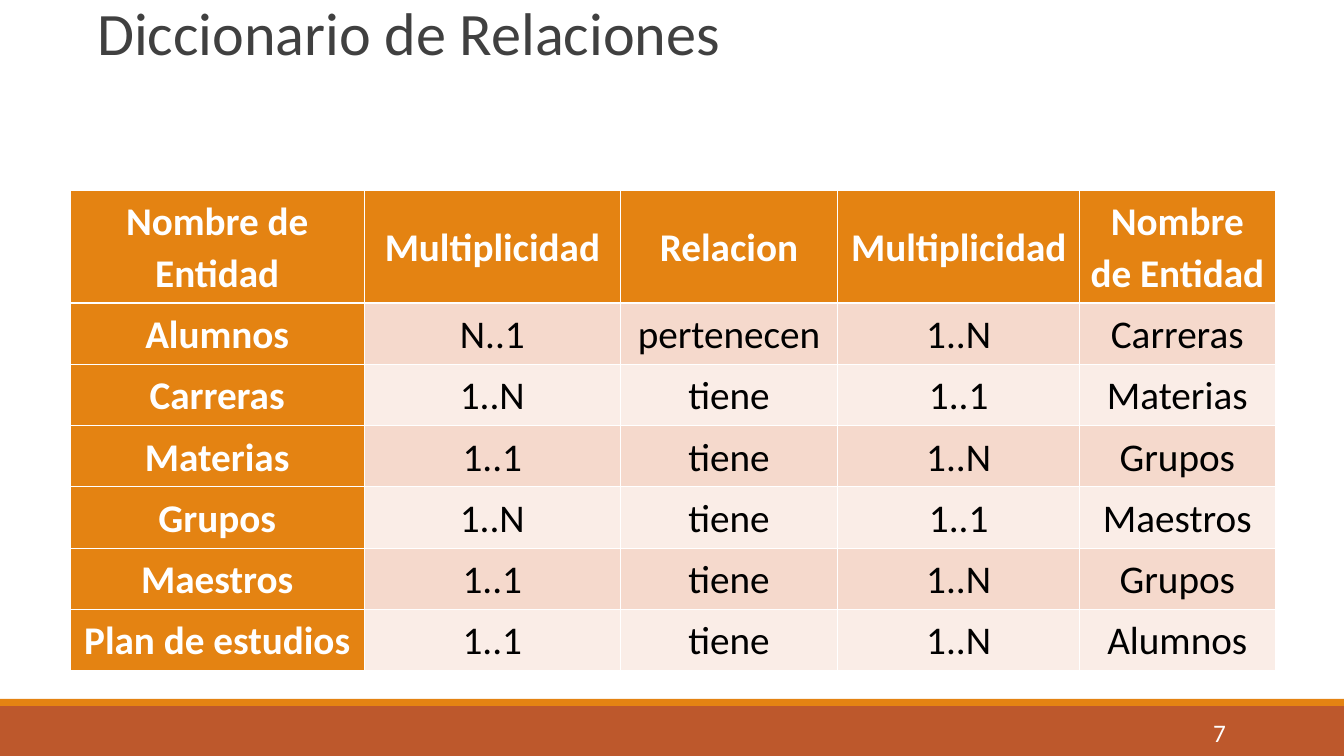
import pptx
import pptx.dml.color
import pptx.enum.shapes
import pptx.enum.text
import pptx.oxml
import pptx.oxml.ns
import pptx.util

PX = 9080
SLIDE_W, SLIDE_H = 1343, 755
ORANGE, RUST, WHITE, BLACK, GRAY = "E48312", "BD582C", "FFFFFF", "000000", "404040"
BANDS = ("F5D9CC", "FAEDE7")
COLUMN_WIDTHS = (294, 256, 217, 242, 195)
HEADER_H, ROW_H = 112, 61
ROWS = (
    ("Nombre de Entidad", "Multiplicidad", "Relacion", "Multiplicidad", "Nombre de Entidad"),
    ("Alumnos", "N..1", "pertenecen", "1..N", "Carreras"),
    ("Carreras", "1..N", "tiene", "1..1", "Materias"),
    ("Materias", "1..1", "tiene", "1..N", "Grupos"),
    ("Grupos", "1..N", "tiene", "1..1", "Maestros"),
    ("Maestros", "1..1", "tiene", "1..N", "Grupos"),
    ("Plan de estudios", "1..1", "tiene", "1..N", "Alumnos"),
)
ALIGN = pptx.enum.text.PP_ALIGN
ANCHOR = pptx.enum.text.MSO_ANCHOR


def rgb(color):
    return pptx.dml.color.RGBColor.from_string(color)


def px(*lengths):
    return [length * PX for length in lengths]


def set_insets(target, x, y):
    target.margin_left = target.margin_right = x * PX
    target.margin_top = target.margin_bottom = y * PX


def write(tf, text, size, color, align, bold=False, spacing=1.0):
    p = tf.paragraphs[0]
    p.text = text
    p.alignment = align
    p.line_spacing = spacing
    p.font.name = "Calibri"
    p.font.size = pptx.util.Pt(size)
    p.font.bold = bold
    p.font.color.rgb = rgb(color)


def set_border(cell, side, width):
    ns = pptx.oxml.ns.nsdecls("a")
    line = pptx.oxml.parse_xml(
        f'<a:{side} {ns} w="{pptx.util.Pt(width)}"><a:solidFill>'
        f'<a:srgbClr val="{WHITE}"/></a:solidFill></a:{side}>'
    )
    position = ("lnL", "lnR", "lnT", "lnB").index(side)
    cell._tc.get_or_add_tcPr().insert(position, line)


def add_title(slide, x, y, w, h):
    title = slide.shapes.title
    title.left, title.top, title.width, title.height = px(x, y, w, h)
    tf = title.text_frame
    tf.auto_size = pptx.enum.text.MSO_AUTO_SIZE.NONE
    tf.word_wrap = True
    tf.vertical_anchor = ANCHOR.BOTTOM
    set_insets(tf, 7, 0)
    write(tf, "Diccionario de Relaciones", 43, GRAY, ALIGN.LEFT, spacing=0.85)


def add_bar(slide, x, y, w, h, color):
    sp = slide.shapes.add_shape(pptx.enum.shapes.MSO_SHAPE.RECTANGLE, *px(x, y, w, h))
    sp.shadow.inherit = False
    sp.fill.solid()
    sp.fill.fore_color.rgb = rgb(color)
    sp.line.fill.background()


def add_footer(slide, x, y, w, h):
    stripe_h = 7
    add_bar(slide, x, y + stripe_h, w, h - stripe_h, RUST)
    add_bar(slide, x, y, w, stripe_h, ORANGE)
    number = slide.shapes.add_textbox(*px(x + w - 252, y + 13, 144, 40))
    tf = number.text_frame
    tf.word_wrap = True
    tf.vertical_anchor = ANCHOR.MIDDLE
    set_insets(tf, 10, 5)
    write(tf, "7", 18, WHITE, ALIGN.RIGHT)


def format_cell(cell, text, row, col):
    is_header = row == 0
    is_label = is_header or col == 0
    cell.fill.solid()
    cell.fill.fore_color.rgb = rgb(ORANGE if is_label else BANDS[(row - 1) % 2])
    cell.vertical_anchor = ANCHOR.MIDDLE if is_header else ANCHOR.BOTTOM
    set_insets(cell, 8, 5)
    write(cell.text_frame, text, 28, WHITE if is_label else BLACK,
          ALIGN.CENTER, bold=is_label, spacing=1.07)
    set_border(cell, "lnL", 0.45)
    set_border(cell, "lnR", 0.45)
    set_border(cell, "lnT", 1.47 if row == 1 else 0.45)
    set_border(cell, "lnB", 1.47 if is_header else 0.45)


def add_relations_table(slide, x, y):
    w = sum(COLUMN_WIDTHS)
    h = HEADER_H + ROW_H * (len(ROWS) - 1)
    frame = slide.shapes.add_table(len(ROWS), len(COLUMN_WIDTHS), *px(x, y, w, h))
    table = frame.table
    table.first_col = True
    for column, width in zip(table.columns, COLUMN_WIDTHS):
        column.width = width * PX
    for row, texts in enumerate(ROWS):
        table.rows[row].height = (ROW_H if row else HEADER_H) * PX
        for col, text in enumerate(texts):
            format_cell(table.cell(row, col), text, row, col)


def main():
    prs = pptx.Presentation()
    prs.slide_width, prs.slide_height = px(SLIDE_W, SLIDE_H)
    slide = prs.slides.add_slide(prs.slide_layouts[5])
    add_title(slide, 90, 31, 1139, 37)
    add_relations_table(slide, 70, 190)
    add_footer(slide, 0, 698, SLIDE_W, SLIDE_H - 698)
    prs.save("out.pptx")


if __name__ == "__main__":
    main()
